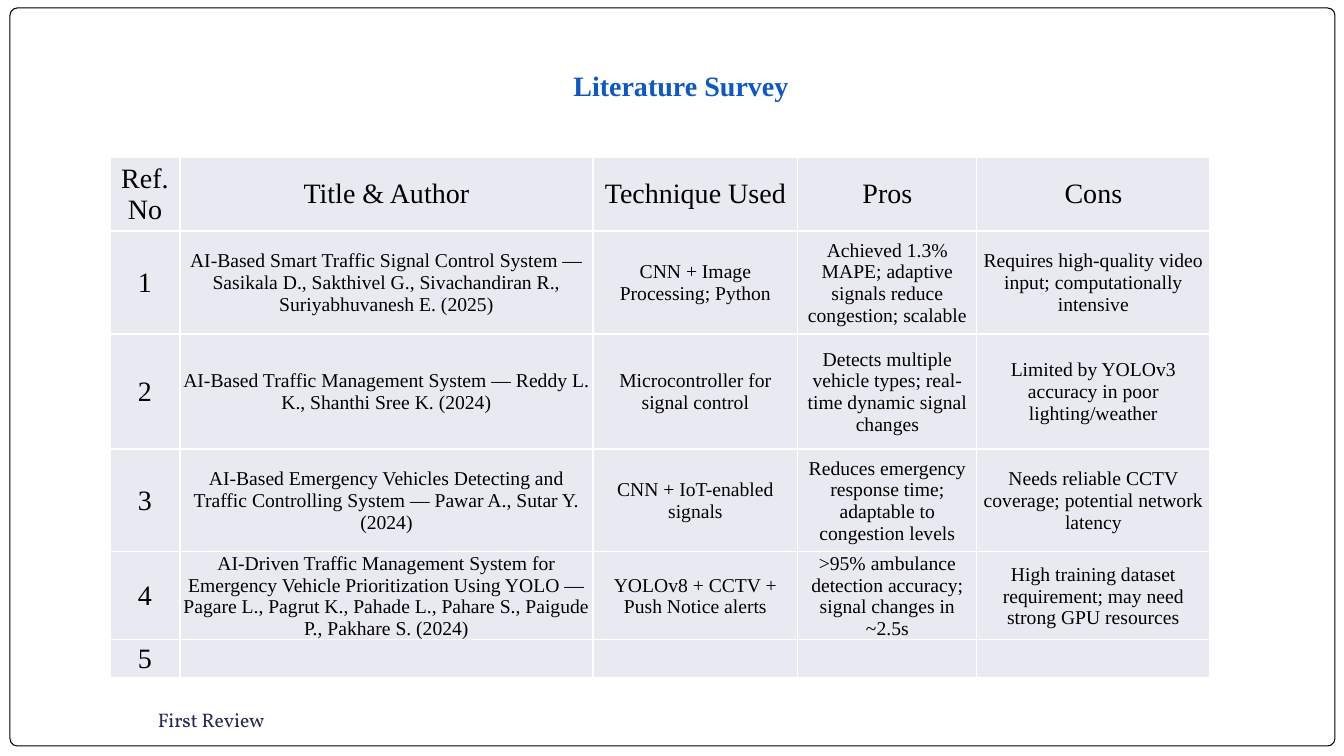
from lxml.etree import SubElement
from pptx import Presentation
from pptx.dml.color import RGBColor
from pptx.enum.shapes import MSO_SHAPE
from pptx.enum.text import MSO_ANCHOR, MSO_AUTO_SIZE, PP_ALIGN
from pptx.oxml.ns import qn
from pptx.util import Pt

PX = 914400 / 100.8
COLORS = {
    "white": "FFFFFF",
    "black": "000000",
    "title": "0E58C4",
    "footer": "242852",
    "cell": "E9EAF1",
}
SERIF = "Times New Roman"
FOOTER_FONT = "Vollkorn"


def px(n):
    return round(n * PX)


def rgb(name):
    return RGBColor.from_string(COLORS[name])


class SlideBuilder:
    def __init__(self, prs):
        self.s = prs.slides.add_slide(prs.slide_layouts[5])

    def style(self, tf, size, color, font=SERIF, bold=False, align=PP_ALIGN.LEFT):
        tf.word_wrap = True
        for p in tf.paragraphs:
            p.alignment = align
            for r in p.runs:
                r.font.name = font
                r.font.size = Pt(size)
                r.font.bold = bold
                r.font.color.rgb = rgb(color)

    def frame(self, x, y, w, h):
        sp = self.s.shapes.add_shape(
            MSO_SHAPE.ROUNDED_RECTANGLE, px(x), px(y), px(w), px(h))
        sp.adjustments[0] = 0.01
        sp.shadow.inherit = False
        sp.fill.solid()
        sp.fill.fore_color.rgb = rgb("white")
        sp.line.color.rgb = rgb("black")
        sp.line.width = Pt(0.75)

    def title(self, text, x, y, w, h):
        sp = self.s.shapes.title
        sp.left, sp.top, sp.width, sp.height = px(x), px(y), px(w), px(h)
        tf = sp.text_frame
        tf.text = text
        tf.auto_size = MSO_AUTO_SIZE.NONE
        tf.vertical_anchor = MSO_ANCHOR.BOTTOM
        tf.margin_bottom = px(10)
        self.style(tf, 20, "title", bold=True, align=PP_ALIGN.CENTER)
        # Bring the title in front of the frame
        self.s.shapes.element.append(sp.element)

    def label(self, text, x, y, w, h):
        tf = self.s.shapes.add_textbox(px(x), px(y), px(w), px(h)).text_frame
        tf.text = text
        tf.vertical_anchor = MSO_ANCHOR.MIDDLE
        self.style(tf, 14, "footer", FOOTER_FONT)

    def table(self, rows, x, y, widths, heights):
        tbl = self.s.shapes.add_table(
            len(rows), len(widths), px(x), px(y),
            px(sum(widths)), px(sum(heights))).table
        tbl.first_row = tbl.horz_banding = False
        for col, width in zip(tbl.columns, widths):
            col.width = px(width)
        for row, height in zip(tbl.rows, heights):
            row.height = px(height)
        for i, texts in enumerate(rows):
            for j, text in enumerate(texts):
                self.cell(tbl.cell(i, j), text, 20 if i == 0 or j == 0 else 14)

    def cell(self, cell, text, size):
        cell.text = text
        cell.vertical_anchor = MSO_ANCHOR.MIDDLE
        cell.margin_left = cell.margin_right = cell.margin_top = px(1)
        cell.margin_bottom = 0
        self.style(cell.text_frame, size, "black", align=PP_ALIGN.CENTER)
        # Borders come before the fill in the cell properties
        tcPr = cell._tc.get_or_add_tcPr()
        for side in ("lnL", "lnR", "lnT", "lnB"):
            ln = SubElement(tcPr, qn(f"a:{side}"), w=str(Pt(1)))
            fill = SubElement(ln, qn("a:solidFill"))
            SubElement(fill, qn("a:srgbClr"), val=COLORS["white"])
        cell.fill.solid()
        cell.fill.fore_color.rgb = rgb("cell")


SURVEY = [
    ("Ref. No", "Title & Author", "Technique Used", "Pros", "Cons"),
    ("1",
     "AI-Based Smart Traffic Signal Control System — Sasikala D., "
     "Sakthivel G., Sivachandiran R., Suriyabhuvanesh E. (2025)",
     "CNN + Image Processing; Python",
     "Achieved 1.3% MAPE; adaptive signals reduce congestion; scalable",
     "Requires high-quality video input; computationally intensive"),
    ("2",
     "AI-Based Traffic Management System — Reddy L. K., Shanthi Sree K. (2024)",
     "Microcontroller for signal control",
     "Detects multiple vehicle types; real-time dynamic signal changes",
     "Limited by YOLOv3 accuracy in poor lighting/weather"),
    ("3",
     "AI-Based Emergency Vehicles Detecting and Traffic Controlling System — "
     "Pawar A., Sutar Y. (2024)",
     "CNN + IoT-enabled signals",
     "Reduces emergency response time; adaptable to congestion levels",
     "Needs reliable CCTV coverage; potential network latency"),
    ("4",
     "AI-Driven Traffic Management System for Emergency Vehicle Prioritization "
     "Using YOLO — Pagare L., Pagrut K., Pahade L., Pahare S., Paigude P., "
     "Pakhare S. (2024)",
     "YOLOv8 + CCTV + Push Notice alerts",
     ">95% ambulance detection accuracy; signal changes in ~2.5s",
     "High training dataset requirement; may need strong GPU resources"),
    ("5", "", "", "", ""),
]


def main():
    prs = Presentation()
    prs.slide_width, prs.slide_height = px(1344), px(756)
    slide = SlideBuilder(prs)

    # Frame and footer
    slide.frame(10, 8, 1325, 738)
    slide.label("First Review", 148, 695, 583, 50)

    # Title
    slide.title("Literature Survey", 110, 19, 1142, 93)

    # Survey table
    slide.table(SURVEY, 110, 157,
                widths=(70, 413, 205, 179, 233),
                heights=(74, 103, 115, 103, 88, 38))

    prs.save("out.pptx")


if __name__ == "__main__":
    main()
